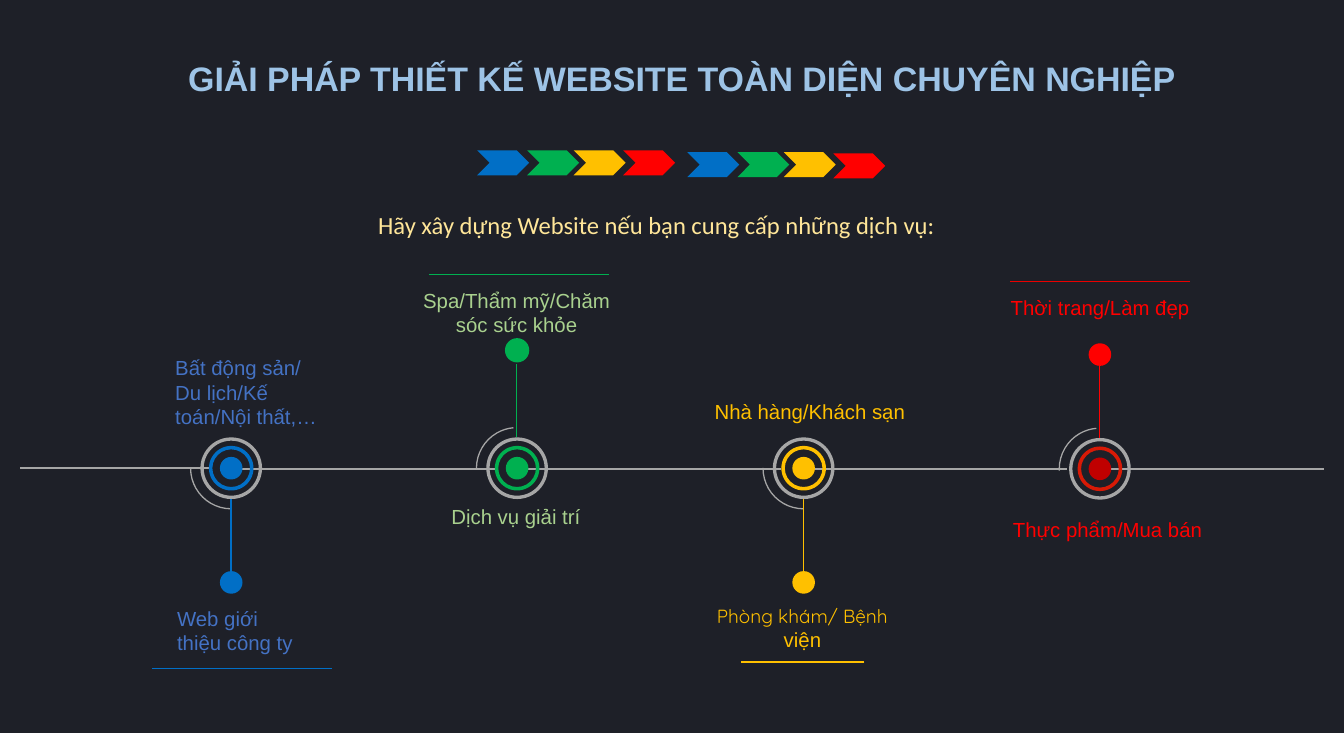
from dataclasses import dataclass

from lxml.etree import SubElement
from pptx import Presentation
from pptx.dml.color import RGBColor
from pptx.enum.shapes import MSO_CONNECTOR, MSO_SHAPE
from pptx.enum.text import MSO_ANCHOR, MSO_AUTO_SIZE, PP_ALIGN
from pptx.oxml.ns import qn
from pptx.util import Emu, Pt

SCALE = 9144  # EMU per px, 100 px to the inch
COLORS = {
    "back": "1E2028", "gray": "A6A6A6", "blue": "016FC6", "green": "00B050",
    "gold": "FFC000", "red": "FF0000", "wine": "C00000", "brick": "D81A06",
    "scarlet": "EA0000", "sky": "9DC3E6", "cream": "FFE699",
    "navy": "4472C4", "mint": "A9D18E",
}
DOT, RING, RIM, ARC = 37, 73, 101, 133
LOWER, UPPER = (54, 108.31), (106.49, 158.91)
CHEVRONS = ((0, "blue"), (82, "green"), (158, "gold"), (239, "red"))
RAILS = ((396, 810), (864, 1278), (1332, 1747), (1819, 2167))


@dataclass
class Hub:
    x: int
    y: int
    core: str
    ring: str
    dot: str
    dot_top: int
    stem: tuple[int, int]
    rule: tuple[int, int, int]
    rule_color: str
    arc: tuple[float, float]
    stem_width: float = 1.5
    dot_line: float = 0


@dataclass
class Label:
    text: str
    box: tuple[int, int, int, int]
    color: str
    size: float = 24
    font: str = "Arial"
    center: bool = False
    wrap: bool = True
    inset: int = 10
    tail: str = ""


HUBS = [
    Hub(378, 766, "blue", "blue", "blue", 935, (937, 817),
        (543, 248, 1094), "blue", LOWER),
    Hub(846, 766, "green", "green", "green", 555, (716, 596),
        (997, 702, 449), "green", UPPER, dot_line=2),
    Hub(1315, 766, "gold", "gold", "gold", 935, (937, 817),
        (1415, 1213, 1084), "gold", LOWER),
    Hub(1800, 767, "wine", "brick", "red", 562, (599, 717),
        (1948, 1653, 461), "scarlet", UPPER, stem_width=1),
]
LABELS = [
    Label("Web giới thiệu công ty", (280, 987, 233, 91), "navy"),
    Label("Spa/Thẩm mỹ/Chăm sóc sức khỏe", (677, 466, 337, 91), "mint", center=True),
    Label("Nhà hàng/Khách sạn", (1160, 648, 332, 50), "gold"),
    Label("Phòng khám/ Bệnh ", (1145, 985, 337, 88), "gold", 22.4, "Quicksand",
          center=True, tail="viện"),
    Label("Thời trang/Làm đẹp", (1632, 479, 337, 50), "red", center=True),
    Label("Hãy xây dựng Website nếu bạn cung cấp những dịch vụ:",
          (614, 338, 933, 59), "cream", 29, "Calibri", wrap=False, inset=5),
    Label("Bất động sản/ Du lịch/Kế toán/Nội thất,…", (277, 577, 275, 131), "navy"),
    Label("Dịch vụ giải trí", (729, 820, 234, 50), "mint", wrap=False),
    Label("Thực phẩm/Mua bán", (1653, 841, 323, 50), "red", wrap=False, inset=5),
]


def px(n: int) -> Emu:
    return Emu(n * SCALE)


def rgb(name: str) -> RGBColor:
    return RGBColor.from_string(COLORS[name])


def add_line(slide, x1: int, y1: int, x2: int, y2: int, color: str,
             width: float = 1.5) -> None:
    line = slide.shapes.add_connector(
        MSO_CONNECTOR.STRAIGHT, px(x1), px(y1), px(x2), px(y2))
    line.line.color.rgb = rgb(color)
    line.line.width = Pt(width)
    SubElement(line._element.spPr, qn("a:effectLst"))


def add_form(slide, kind: MSO_SHAPE, box: tuple[int, int, int, int],
             fill: str = "", line: str = "", width: float = 1.5,
             adjust: tuple[float, ...] = ()) -> None:
    form = slide.shapes.add_shape(kind, *map(px, box))
    form.shadow.inherit = False
    for i, value in enumerate(adjust):
        form.adjustments[i] = value
    if fill:
        form.fill.solid()
        form.fill.fore_color.rgb = rgb(fill)
    else:
        form.fill.background()
    if line:
        form.line.color.rgb = rgb(line)
        form.line.width = Pt(width)
    else:
        form.line.fill.background()


def add_hub(slide, hub: Hub) -> None:
    """Draw the rings, arc, stem, end dot and rule of one stop."""
    def around(size: int) -> tuple[int, int, int, int]:
        return hub.x - size // 2, hub.y - size // 2, size, size

    add_form(slide, MSO_SHAPE.ARC, around(ARC), line="gray", adjust=hub.arc)
    add_form(slide, MSO_SHAPE.OVAL, around(DOT), hub.core)
    add_form(slide, MSO_SHAPE.DONUT, around(RING), hub.ring, adjust=(0.078,))
    add_form(slide, MSO_SHAPE.DONUT, around(RIM), "gray", adjust=(0.054,))
    start, end = hub.stem
    add_line(slide, hub.x, start, hub.x, end, hub.dot, hub.stem_width)
    add_form(slide, MSO_SHAPE.OVAL, (hub.x - DOT // 2, hub.dot_top, DOT, DOT),
             hub.dot, hub.dot if hub.dot_line else "", hub.dot_line)
    left, right, level = hub.rule
    add_line(slide, left, level, right, level, hub.rule_color)


def style(run, size: float, font: str, color: str, bold: bool = False) -> None:
    run.font.size = Pt(size)
    run.font.name = font
    run.font.bold = bold
    run.font.color.rgb = rgb(color)


def add_label(slide, label: Label) -> None:
    frame = slide.shapes.add_textbox(*map(px, label.box)).text_frame
    frame.text = label.text
    frame.word_wrap = label.wrap
    frame.auto_size = MSO_AUTO_SIZE.SHAPE_TO_FIT_TEXT
    frame.margin_left = frame.margin_right = px(label.inset)
    frame.margin_top = frame.margin_bottom = px(5)
    para = frame.paragraphs[0]
    para.alignment = PP_ALIGN.CENTER if label.center else PP_ALIGN.LEFT
    style(para.runs[0], label.size, label.font, label.color)
    if label.tail:
        run = para.add_run()
        run.text = label.tail
        style(run, 24, "Arial", label.color)


def set_title(slide, text: str) -> None:
    title = slide.shapes.title
    title.left, title.top, title.width, title.height = map(px, (298, 89, 1740, 77))
    frame = title.text_frame
    frame.text = text
    frame.word_wrap = True
    frame.auto_size = MSO_AUTO_SIZE.NONE
    frame.vertical_anchor = MSO_ANCHOR.TOP
    frame.paragraphs[0].alignment = PP_ALIGN.LEFT
    style(frame.paragraphs[0].runs[0], 40, "Arial", "sky", bold=True)


def main() -> None:
    deck = Presentation()
    deck.slide_width, deck.slide_height = px(2200), px(1200)
    slide = deck.slides.add_slide(deck.slide_layouts[5])
    slide.background.fill.solid()
    slide.background.fill.fore_color.rgb = rgb("back")
    set_title(slide, "GIẢI PHÁP THIẾT KẾ WEBSITE TOÀN DIỆN CHUYÊN NGHIỆP")
    for left, right in RAILS:
        add_line(slide, left, 768, right, 768, "gray")
    add_line(slide, 33, 766, 342, 766, "gray")
    for hub in HUBS:
        add_hub(slide, hub)
    for left, tops in ((781, (246,) * 4), (1125, (249, 249, 249, 251))):
        for (shift, color), top in zip(CHEVRONS, tops):
            add_form(slide, MSO_SHAPE.CHEVRON, (left + shift, top, 85, 41), color)
    for label in LABELS:
        add_label(slide, label)
    deck.save("out.pptx")


if __name__ == "__main__":
    main()
